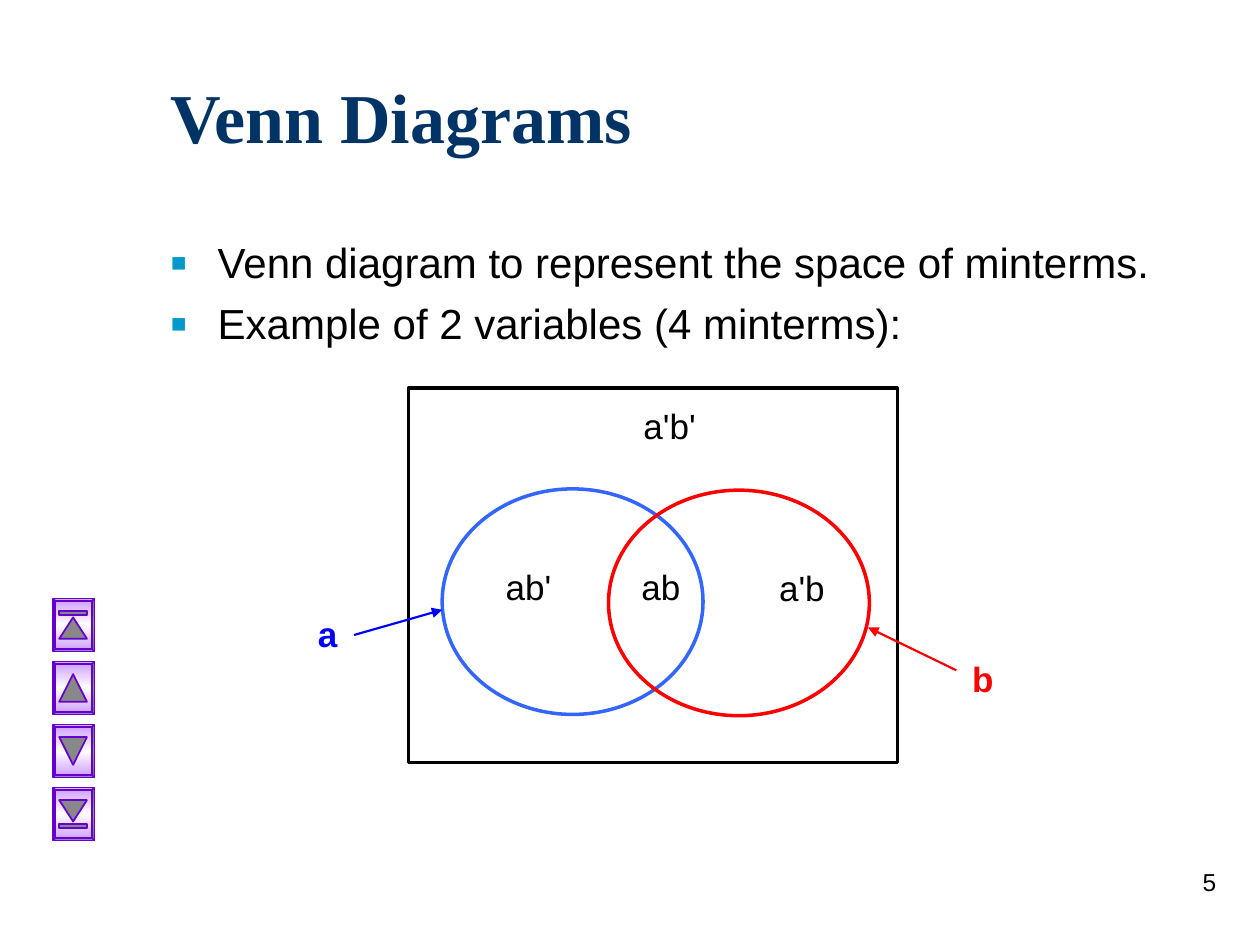
from copy import deepcopy

from lxml import etree
from pptx import Presentation
from pptx.dml.color import RGBColor
from pptx.enum import shapes, text
from pptx.oxml.ns import qn
from pptx.util import Inches, Pt

BLACK = RGBColor(0x00, 0x00, 0x00)
WHITE = RGBColor(0xFF, 0xFF, 0xFF)
NAVY = RGBColor(0x00, 0x33, 0x66)
TEAL = RGBColor(0x00, 0x99, 0xCC)
SKY = RGBColor(0x33, 0x66, 0xFF)
BLUE = RGBColor(0x00, 0x00, 0xFF)
RED = RGBColor(0xFF, 0x00, 0x00)
PURPLE = RGBColor(0x66, 0x00, 0xCC)
LILAC = RGBColor(0xCC, 0x99, 0xFF)
GRAY = RGBColor(0x88, 0x88, 0x88)

SHAPE = shapes.MSO_SHAPE
ALIGN = text.PP_ALIGN


def inches(*values):
    return [Inches(v) for v in values]


def add_run(p, words, size, color, bold=False, font="Arial"):
    r = p.add_run()
    r.text = words
    r.font.name, r.font.size, r.font.bold = font, Pt(size), bold
    r.font.color.rgb = color


def add_text_box(slide, box):
    tf = slide.shapes.add_textbox(*inches(*box)).text_frame
    tf.word_wrap = True
    return tf


def add_label(slide, box, words, size=20, color=BLACK, bold=False, align=ALIGN.CENTER):
    p = add_text_box(slide, box).paragraphs[0]
    p.alignment = align
    add_run(p, words, size, color, bold)
    return p


def add_outline(slide, kind, box, color, width, fill=None):
    sp = slide.shapes.add_shape(kind, *inches(*box))
    sp.shadow.inherit = False
    sp.line.color.rgb = color
    sp.line.width = Pt(width)
    if fill is None:
        sp.fill.background()
    else:
        sp.fill.solid()
        sp.fill.fore_color.rgb = fill
    return sp


def add_arrow(slide, start, end, color):
    line = slide.shapes.add_connector(
        shapes.MSO_CONNECTOR.STRAIGHT, *inches(*start, *end))
    line.line.color.rgb = color
    line.line.width = Pt(1.25)
    ln = line.line._get_or_add_ln()
    etree.SubElement(ln, qn("a:tailEnd"), type="triangle")
    etree.SubElement(line._element.spPr, qn("a:effectLst"))


def add_title(slide, box, words):
    sp = slide.shapes.title
    sp.left, sp.top, sp.width, sp.height = inches(*box)
    tf = sp.text_frame
    tf.vertical_anchor = text.MSO_ANCHOR.MIDDLE
    p = tf.paragraphs[0]
    p.alignment = ALIGN.LEFT
    add_run(p, words, 40, NAVY, True, "Times New Roman")


def add_bullets(slide, box, lines):
    tf = add_text_box(slide, box)
    for i, words in enumerate(lines):
        p = tf.add_paragraph() if i else tf.paragraphs[0]
        p.space_before = Pt(6)
        pPr = p._p.get_or_add_pPr()
        pPr.set("marL", str(Inches(0.38)))
        pPr.set("indent", str(Inches(-0.38)))
        color = etree.SubElement(pPr, qn("a:buClr"))
        etree.SubElement(color, qn("a:srgbClr"), val=str(TEAL))
        etree.SubElement(pPr, qn("a:buSzPct"), val="120000")
        etree.SubElement(pPr, qn("a:buFont"), typeface="Arial")
        etree.SubElement(pPr, qn("a:buChar"), char="▪")
        add_run(p, words, 24, BLACK)


def add_venn(slide, box):
    x, y, w, h = box
    # Universe and the two sets
    add_outline(slide, SHAPE.RECTANGLE, box, BLACK, 1.75)
    add_outline(slide, SHAPE.OVAL, (x + 0.27, y + 0.8, 2.07, 1.79), SKY, 2)
    add_outline(slide, SHAPE.OVAL, (x + 1.59, y + 0.81, 2.07, 1.79), RED, 2)
    # Minterms
    for words, dx, dy, width in (("a'b'", 1.54, 0.08, 1.07), ("ab'", 0.52, 1.36, 0.87),
                                 ("ab", 1.57, 1.36, 0.87), ("a'b", 2.69, 1.37, 0.87)):
        add_label(slide, (x + dx, y + dy, width, 0.74), words)
    # Set names with their arrows
    add_label(slide, (x - 0.99, y + 1.73, 0.7, 0.71), "a", color=BLUE, bold=True)
    add_arrow(slide, (x - 0.43, y + 1.96), (x + 0.27, y + 1.76), BLUE)
    add_label(slide, (x + w + 0.3, y + 2.09, 0.76, 0.59), "b", color=RED, bold=True)
    add_arrow(slide, (x + w + 0.47, y + 2.24), (x + w - 0.23, y + 1.9), RED)


def add_nav_button(slide, box, points_up, has_bar):
    x, y, w, h = box
    # Bevelled frame with a lilac-white-lilac gradient
    frame = add_outline(slide, SHAPE.BEVEL, box, PURPLE, 1)
    frame.adjustments[0] = 0.06
    frame.fill.gradient()
    frame.fill.gradient_angle = 90
    stops = frame.fill._fill._gradFill.find(qn("a:gsLst"))
    stops.insert(1, deepcopy(stops[0]))
    for stop, color, place in zip(frame.fill.gradient_stops,
                                  (LILAC, WHITE, LILAC), (0, 0.5, 1)):
        stop.color.rgb = color
        stop.position = place
    # Triangle, with a bar at its tip on the first and last buttons
    height = 0.17 if has_bar else 0.22
    top = y + (0.32 - height if points_up else 0.1)
    triangle = add_outline(slide, SHAPE.ISOSCELES_TRIANGLE,
                           (x + 0.05, top, 0.22, height), PURPLE, 1, GRAY)
    triangle.rotation = 0 if points_up else 180
    if has_bar:
        bar_top = y + (0.1 if points_up else 0.29)
        add_outline(slide, SHAPE.RECTANGLE, (x + 0.05, bar_top, 0.22, 0.03), PURPLE, 1, GRAY)


def add_navigation(slide, box):
    x, y, w, h = box
    buttons = ((True, True), (True, False), (False, False), (False, True))
    gap = 0.08
    height = (h - gap * (len(buttons) - 1)) / len(buttons)
    for i, (points_up, has_bar) in enumerate(buttons):
        add_nav_button(slide, (x, y + i * (height + gap), w, height), points_up, has_bar)


def add_page_number(slide, box, number):
    p = add_label(slide, box, number, size=14, align=ALIGN.RIGHT)
    p.space_before = Pt(8.8)


def main():
    prs = Presentation()
    prs.slide_width, prs.slide_height = inches(10, 7.5)
    slide = prs.slides.add_slide(prs.slide_layouts[5])
    add_title(slide, (1.25, 0.5, 8.5, 0.83), "Venn Diagrams")
    add_bullets(slide, (1.25, 1.83, 8.5, 1.08),
                ("Venn diagram to represent the space of minterms.",
                 "Example of 2 variables (4 minterms):"))
    add_venn(slide, (3.24, 3.08, 3.88, 2.97))
    add_navigation(slide, (0.42, 4.75, 0.33, 1.92))
    add_page_number(slide, (7.67, 6.83, 2.08, 0.5), "5")
    prs.save("out.pptx")


if __name__ == "__main__":
    main()
